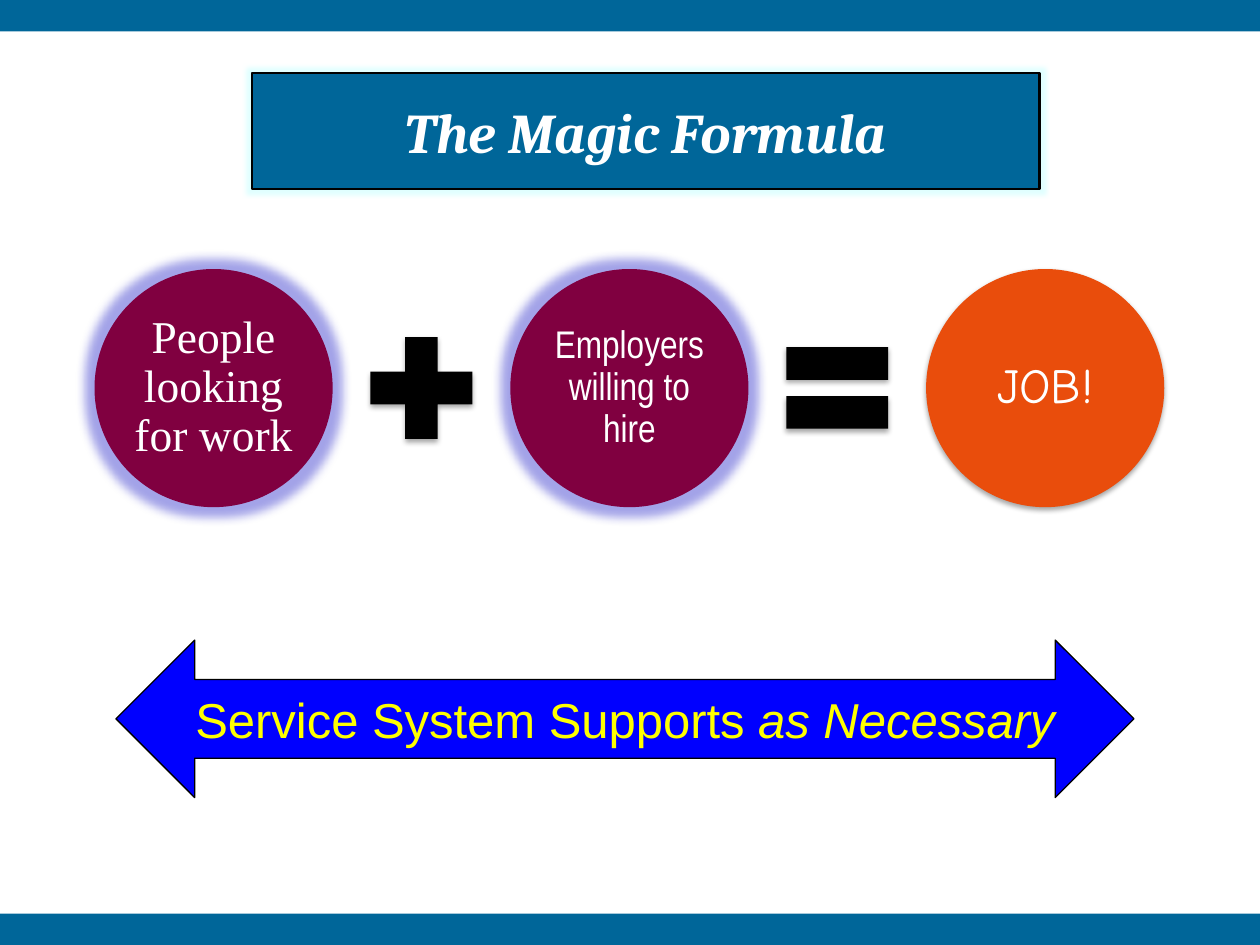
from dataclasses import dataclass
from typing import Optional

from lxml.etree import SubElement
from pptx import Presentation
from pptx.dml.color import RGBColor
from pptx.enum.shapes import MSO_SHAPE
from pptx.enum.text import MSO_ANCHOR, MSO_AUTO_SIZE, PP_ALIGN
from pptx.oxml.ns import qn
from pptx.util import Inches, Pt

TEAL = "006699"
PLUM = "800040"
BLACK = "000000"
WHITE = "FFFFFF"
DISC, SIGN, PITCH = 1.89, 1.1, 3.3
LEFT, MID = 0.75, 3.08


@dataclass
class Term:
    text: str
    font: str
    size: int
    fill: str
    inset: float
    glow: bool
    sign: Optional[MSO_SHAPE]


TERMS = [
    Term("People looking for work", "Times New Roman", 26, PLUM, 0.04, True,
         MSO_SHAPE.MATH_PLUS),
    Term("Employers willing to hire", "Arial Narrow", 22, PLUM, 0.03, True,
         MSO_SHAPE.MATH_EQUAL),
    Term("JOB!", "Comic Neue", 28, "E94D0C", 0.04, False, None),
]


def rgb(code: str) -> RGBColor:
    return RGBColor.from_string(code)


def paint(shape, fill: str, line: Optional[str] = None, width: float = 0):
    shape.shadow.inherit = False
    shape.fill.solid()
    shape.fill.fore_color.rgb = rgb(fill)
    if line:
        shape.line.color.rgb = rgb(line)
        shape.line.width = Pt(width)
    else:
        shape.line.fill.background()


def add(slide, kind: MSO_SHAPE, left: float, top: float, width: float,
        height: float, fill: str, line: Optional[str] = None, weight: float = 0):
    shape = slide.shapes.add_shape(
        kind, Inches(left), Inches(top), Inches(width), Inches(height))
    paint(shape, fill, line, weight)
    return shape


def effect(shape, tag: str, code: str, alpha: int, **attrs: str):
    """Add a glow or shadow with the given opacity in percent."""
    group = shape.element.spPr.find(qn("a:effectLst"))
    node = SubElement(group, qn(tag), attrs)
    color = SubElement(node, qn("a:srgbClr"), val=code)
    SubElement(color, qn("a:alpha"), val=str(alpha * 1000))


def glow(shape, code: str, alpha: int, size: float):
    effect(shape, "a:glow", code, alpha, rad=str(Pt(size)))


def shade(shape):
    effect(shape, "a:outerShdw", BLACK, 35, blurRad=str(Pt(3.1)),
           dist=str(Pt(1.8)), dir="5400000", rotWithShape="0")


def style(para, font: str, size: int, color: str):
    para.alignment = PP_ALIGN.CENTER
    for run in para.runs:
        run.font.name = font
        run.font.size = Pt(size)
        run.font.color.rgb = rgb(color)


def add_title(slide):
    title = slide.shapes.title
    title.left, title.top = Inches(2), Inches(0.58)
    title.width, title.height = Inches(6.25), Inches(0.92)
    paint(title, TEAL, BLACK, 1.5)
    glow(title, "CCFFFF", 60, 5)
    frame = title.text_frame
    frame.text = "The Magic Formula"
    frame.auto_size = MSO_AUTO_SIZE.NONE
    frame.vertical_anchor = MSO_ANCHOR.MIDDLE
    para = frame.paragraphs[0]
    style(para, "Cambria", 32, WHITE)
    para.runs[0].font.bold = para.runs[0].font.italic = True


def add_term(slide, term: Term, left: float):
    disc = add(slide, MSO_SHAPE.OVAL, left, MID - DISC / 2, DISC, DISC, term.fill)
    if term.glow:
        glow(disc, "3333CC", 45, 11)
    else:
        shade(disc)
    frame = disc.text_frame
    frame.text = term.text
    frame.word_wrap = True
    frame.margin_left = frame.margin_right = Inches(term.inset)
    frame.margin_top = frame.margin_bottom = Inches(term.inset)
    para = frame.paragraphs[0]
    para.line_spacing = 0.9
    style(para, term.font, term.size, WHITE)
    if term.sign is not None:
        gap = (PITCH - DISC - SIGN) / 2
        shade(add(slide, term.sign, left + DISC + gap, MID - SIGN / 2,
                  SIGN, SIGN, BLACK))


def add_arrow(slide):
    arrow = add(slide, MSO_SHAPE.LEFT_RIGHT_ARROW, 0.92, 5.08, 8.08, 1.25,
                "0000FF", BLACK, 0.75)
    para = arrow.text_frame.paragraphs[0]
    for text in ("Service System Supports ", "as Necessary"):
        para.add_run().text = text
    style(para, "Arial", 28, "FFFF00")
    para.runs[1].font.italic = True


def main():
    deck = Presentation()
    deck.slide_width, deck.slide_height = Inches(10), Inches(7.5)
    slide = deck.slides.add_slide(deck.slide_layouts[5])
    for top in (0, 7.25):
        add(slide, MSO_SHAPE.RECTANGLE, 0, top, 10, 0.25, TEAL)
    add_title(slide)
    for i, term in enumerate(TERMS):
        add_term(slide, term, LEFT + i * PITCH)
    add_arrow(slide)
    deck.save("out.pptx")


if __name__ == "__main__":
    main()
